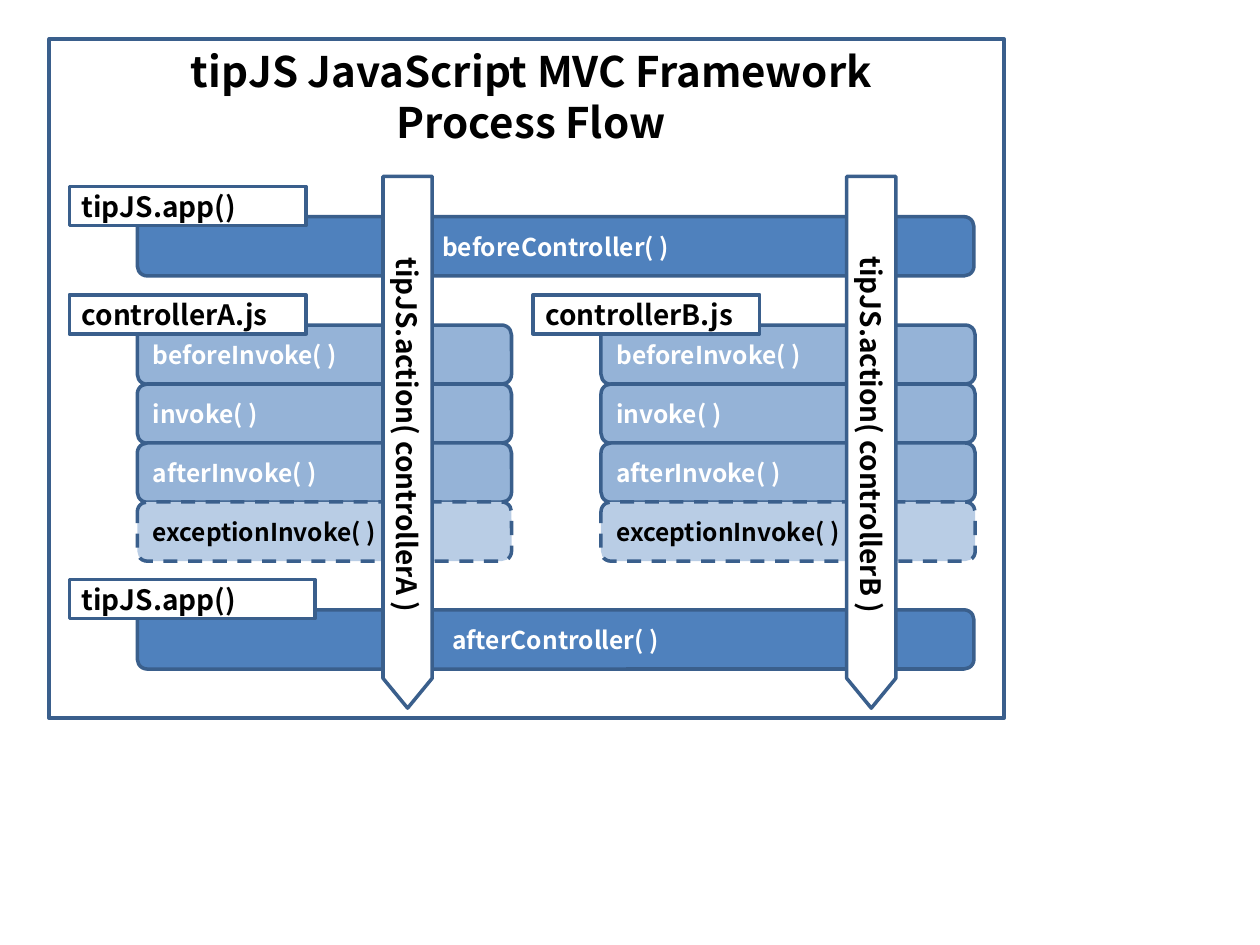
from dataclasses import dataclass

from pptx import Presentation
from pptx.dml.color import RGBColor
from pptx.enum import dml, shapes, text
from pptx.util import Inches, Pt

TITLE = "tipJS JavaScript MVC Framework Process Flow"
# caption, caption width, hook, top of the bar
APP_STAGES = [
    ("tipJS.app()", 1.88, "beforeController( )", 1.72),
    ("tipJS.app()", 1.95, "afterController( )", 4.84),
]
# caption, caption width, action, left of the column
CONTROLLERS = [
    ("controllerA.js", 1.88, "tipJS.action( controllerA )", 1.09),
    ("controllerB.js", 1.80, "tipJS.action( controllerB )", 4.77),
]
INVOKE_HOOKS = ["beforeInvoke( )", "invoke( )", "afterInvoke( )"]
EXCEPTION_HOOK = "exceptionInvoke( )"


@dataclass(frozen=True)
class Theme:
    """Colours, type and line weight of the slide."""
    font: str = "Noto Sans CJK KR"
    ink: str = "000000"
    paper: str = "FFFFFF"
    outline: str = "3A5F8C"
    app: str = "4F81BD"
    invoke: str = "95B3D7"
    exception: str = "B9CDE5"
    title_size: int = 24
    label_size: int = 16
    hook_size: int = 14
    line_width: int = 2


THEME = Theme()
LEFT, APP_WIDTH, COLUMN_WIDTH = 1.09, 6.64, 2.97
BAR_HEIGHT, BAR_PITCH, INVOKE_TOP = 0.47, 0.468, 2.58
CAPTION_HEIGHT, CAPTION_SHIFT, CAPTION_RISE = 0.31, 0.54, 0.24
ARROW_LENGTH, ARROW_THICKNESS, ARROW_TOP, ARROW_OFFSET = 4.22, 0.39, 1.40, 1.95

prs = Presentation()
prs.slide_width, prs.slide_height = Inches(10), Inches(7.5)
slide = prs.slides.add_slide(prs.slide_layouts[6])


def write(frame, wording, size, color, align):
    """Put one bold paragraph into a text frame."""
    frame.word_wrap = True
    paragraph = frame.paragraphs[0]
    paragraph.text = wording
    paragraph.alignment = align
    font = paragraph.font
    font.name, font.size, font.bold = THEME.font, Pt(size), True
    font.color.rgb = RGBColor.from_string(color)
    return paragraph


def add_box(kind, left, top, width, height, fill=None):
    """Add an outlined shape, without fill if none is given."""
    box = slide.shapes.add_shape(
        kind, Inches(left), Inches(top), Inches(width), Inches(height))
    box.shadow.inherit = False
    if fill:
        box.fill.solid()
        box.fill.fore_color.rgb = RGBColor.from_string(fill)
    else:
        box.fill.background()
    box.line.color.rgb = RGBColor.from_string(THEME.outline)
    box.line.width = Pt(THEME.line_width)
    box.text_frame.vertical_anchor = text.MSO_ANCHOR.MIDDLE
    return box


def add_bar(hook, left, top, width, fill, color=THEME.paper,
            align=text.PP_ALIGN.LEFT):
    """Add a rounded bar naming a hook."""
    bar = add_box(shapes.MSO_SHAPE.ROUNDED_RECTANGLE, left, top, width,
                  BAR_HEIGHT, fill)
    write(bar.text_frame, hook, THEME.hook_size, color, align)
    return bar


def add_caption(caption, bar_left, bar_top, width):
    """Add the white tag over the top left corner of a bar."""
    tag = add_box(shapes.MSO_SHAPE.RECTANGLE, bar_left - CAPTION_SHIFT,
                  bar_top - CAPTION_RISE, width, CAPTION_HEIGHT, THEME.paper)
    write(tag.text_frame, caption, THEME.label_size, THEME.ink,
          text.PP_ALIGN.LEFT)


def add_controller(caption, caption_width, left):
    """Add a controller's stack of hooks with its caption."""
    for row, hook in enumerate(INVOKE_HOOKS):
        add_bar(hook, left, INVOKE_TOP + row * BAR_PITCH, COLUMN_WIDTH,
                THEME.invoke)
    exception = add_bar(EXCEPTION_HOOK, left,
                        INVOKE_TOP + len(INVOKE_HOOKS) * BAR_PITCH,
                        COLUMN_WIDTH, THEME.exception, THEME.ink)
    exception.line.dash_style = dml.MSO_LINE.DASH
    add_caption(caption, left, INVOKE_TOP, caption_width)


def add_action(action, column_left):
    """Add the downward arrow that crosses a controller's column."""
    turn = (ARROW_LENGTH - ARROW_THICKNESS) / 2
    arrow = add_box(shapes.MSO_SHAPE.PENTAGON,
                    column_left + ARROW_OFFSET - turn, ARROW_TOP + turn,
                    ARROW_LENGTH, ARROW_THICKNESS, THEME.paper)
    arrow.adjustments[0] = 0.607
    arrow.rotation = 90
    write(arrow.text_frame, action, THEME.label_size, THEME.ink,
          text.PP_ALIGN.CENTER)


add_box(shapes.MSO_SHAPE.RECTANGLE, 0.39, 0.31, 7.58, 5.39)
title = slide.shapes.add_textbox(
    Inches(LEFT), Inches(0.31), Inches(6.25), Inches(0.91))
write(title.text_frame, TITLE, THEME.title_size, THEME.ink,
      text.PP_ALIGN.CENTER).line_spacing = Pt(29)

for caption, caption_width, hook, top in APP_STAGES:
    add_bar(hook, LEFT, top, APP_WIDTH, THEME.app, align=text.PP_ALIGN.CENTER)
    add_caption(caption, LEFT, top, caption_width)
for caption, caption_width, action, left in CONTROLLERS:
    add_controller(caption, caption_width, left)
    add_action(action, left)

prs.save("out.pptx")
